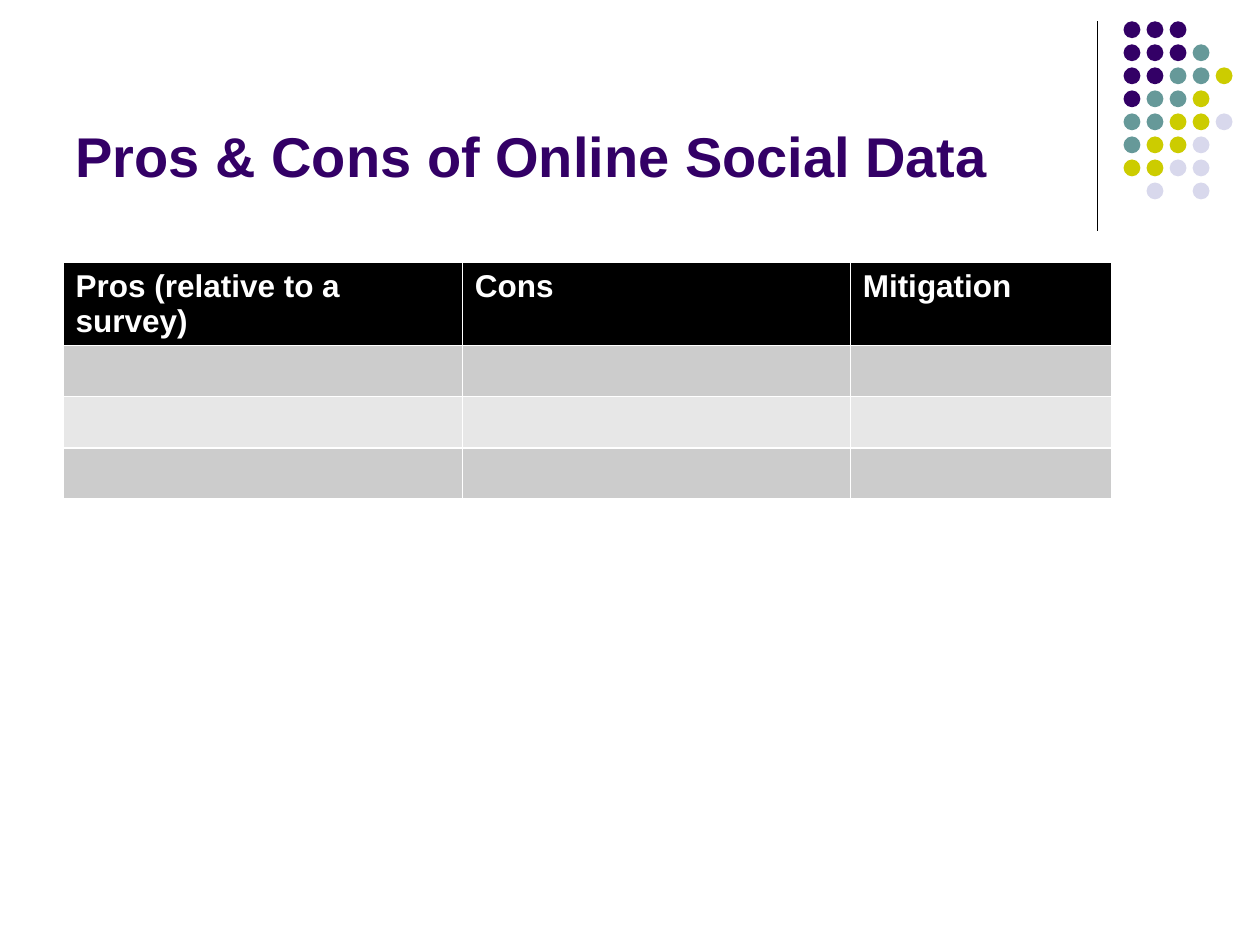
from pptx import Presentation
from pptx import util as u
from pptx.dml.color import RGBColor
from pptx.enum import shapes, text
from pptx.oxml.ns import qn
from lxml import etree

TITLE = "Pros & Cons of Online Social Data"
HEADS = ["Pros (relative to a survey)", "Cons", "Mitigation"]
WIDTHS = [8.05, 7.82, 5.28]
HIGHS = [1.65, 1.02, 1.02, 1.02]
FILLS = ["000000", "CCCCCC", "E7E7E7", "CCCCCC"]
DOTS = ["PPP", "PPPT", "PPTTY", "PTTY", "TTYYL", "TYYL", "YYLL", " L L"]
HUES = {"P": "330066", "T": "669999", "Y": "CCCC00", "L": "D8D8EC"}
LEFT, TOP, SIZE, STEP = 22.65, 0.43, 0.34, 3.25 / 7


def paint(item, hue):
    item.solid()
    item.fore_color.rgb = RGBColor.from_string(hue)


def style(frame, size, hue):
    for para in frame.paragraphs:
        para.alignment = text.PP_ALIGN.LEFT
        for run in para.runs:
            run.font.name = "Arial"
            run.font.size = u.Pt(size)
            run.font.bold = True
            paint(run.font.fill, hue)


def add_rule(slide):
    rule = slide.shapes.add_connector(
        shapes.MSO_CONNECTOR.STRAIGHT, u.Cm(22.12), u.Cm(0.43), u.Cm(22.12), u.Cm(4.65))
    paint(rule.line.fill, "000000")
    rule.line.width = u.Pt(0.75)
    etree.SubElement(rule._element.spPr, qn("a:effectLst"))


def add_dots(slide):
    group = slide.shapes.add_group_shape()
    for row, marks in enumerate(DOTS):
        for col, mark in enumerate(marks):
            if mark in HUES:
                dot = group.shapes.add_shape(
                    shapes.MSO_SHAPE.OVAL, u.Cm(LEFT + col * STEP), u.Cm(TOP + row * STEP),
                    u.Cm(SIZE), u.Cm(SIZE))
                dot.shadow.inherit = False
                paint(dot.fill, HUES[mark])
                dot.line.fill.background()


def add_title(slide):
    title = slide.shapes.title
    title.left, title.top = u.Cm(1.27), u.Cm(0.33)
    title.width, title.height = u.Cm(20.96), u.Cm(3.6)
    frame = title.text_frame
    frame.text = TITLE
    frame.word_wrap = True
    frame.vertical_anchor = text.MSO_ANCHOR.BOTTOM
    style(frame, 32, "330066")


def add_grid(slide):
    grid = slide.shapes.add_table(
        len(HIGHS), len(HEADS), u.Cm(1.27), u.Cm(5.29),
        u.Cm(sum(WIDTHS)), u.Cm(sum(HIGHS))).table
    for col, wide in zip(grid.columns, WIDTHS):
        col.width = u.Cm(wide)
    for row, high, hue in zip(grid.rows, HIGHS, FILLS):
        row.height = u.Cm(high)
        for cell in row.cells:
            paint(cell.fill, hue)
    for cell, head in zip(grid.rows[0].cells, HEADS):
        cell.text_frame.text = head
        style(cell.text_frame, 18, "FFFFFF")


def main():
    deck = Presentation()
    deck.slide_width, deck.slide_height = u.Cm(25.4), u.Cm(19.05)
    slide = deck.slides.add_slide(deck.slide_layouts[5])
    paint(slide.background.fill, "FFFFFF")
    add_rule(slide)
    add_dots(slide)
    add_title(slide)
    add_grid(slide)
    deck.save("out.pptx")


if __name__ == "__main__":
    main()
